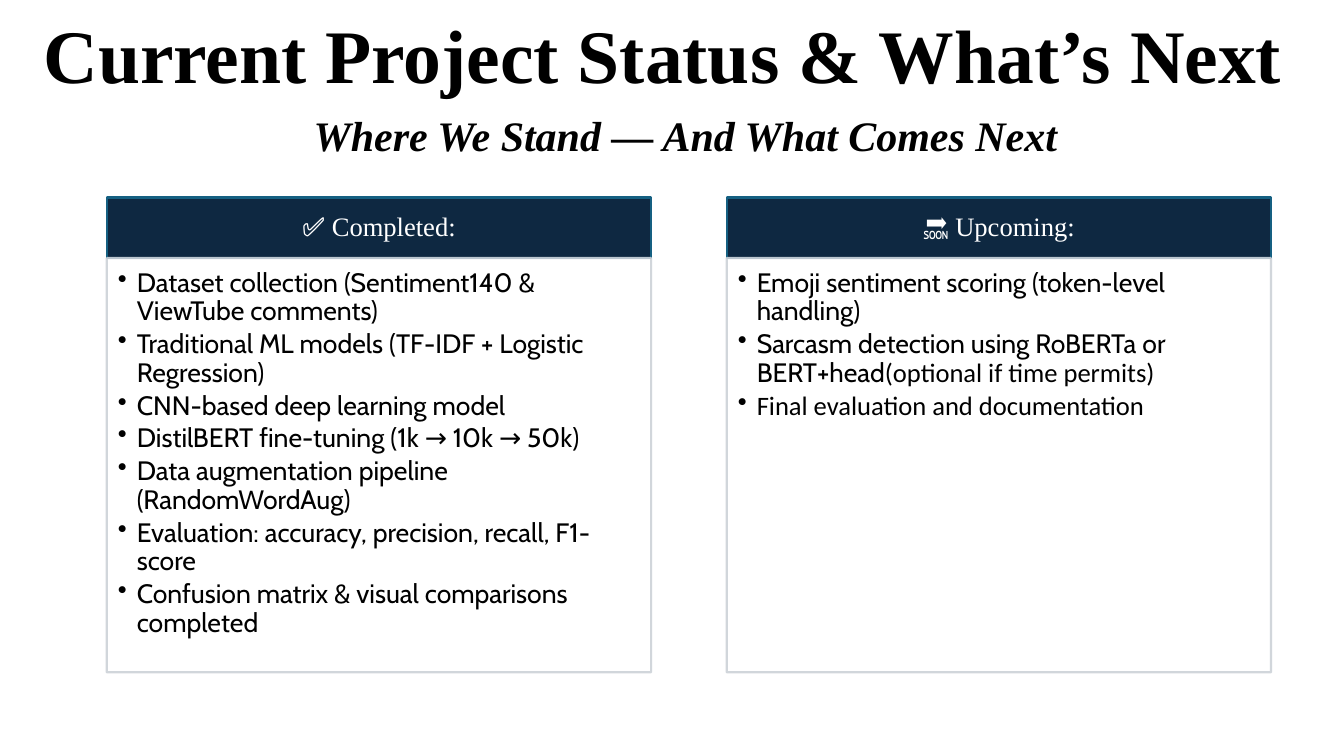
from lxml.etree import SubElement
from pptx import Presentation
from pptx.dml.color import RGBColor
from pptx.enum.shapes import MSO_SHAPE
from pptx.enum.text import MSO_ANCHOR, PP_ALIGN
from pptx.oxml.ns import qn
from pptx.util import Pt

SERIF = "Times New Roman"
BODY = "Cabin"
BLACK = "000000"
HEADER_HEIGHT = 43.2
CARD_WIDTH = 388.8

COMPLETED = [
    [("Dataset collection (Sentiment140 & ViewTube comments)", BODY)],
    [("Traditional ML models (TF-IDF + Logistic Regression)", BODY)],
    [("CNN-based deep learning model", BODY)],
    [("DistilBERT fine-tuning (1k → 10k → 50k)", BODY)],
    [("Data augmentation pipeline (RandomWordAug)", BODY)],
    [("Evaluation: accuracy, precision, recall, F1-score", BODY)],
    [("Confusion matrix & visual comparisons completed", BODY)],
]
UPCOMING = [
    [("Emoji sentiment scoring (token-level handling)", BODY)],
    [("Sarcasm detection using RoBERTa or BERT+head", BODY),
     ("(optional if time permits)", "Calibri")],
    [("Final evaluation and documentation", "Calibri")],
]


def color(hex_value):
    return RGBColor.from_string(hex_value)


def format_run(run, font_name, size, hex_value, bold=False, italic=False):
    font = run.font
    font.name, font.size = font_name, Pt(size)
    font.bold, font.italic = bold, italic
    font.color.rgb = color(hex_value)


def set_insets(text_frame, left, top, right, bottom):
    text_frame.margin_left, text_frame.margin_top = Pt(left), Pt(top)
    text_frame.margin_right, text_frame.margin_bottom = Pt(right), Pt(bottom)


def add_heading(slide, box, text, size, anchor, alignment, wrap, italic=False):
    shape = slide.shapes.add_textbox(*map(Pt, box))
    text_frame = shape.text_frame
    text_frame.text = text
    text_frame.word_wrap = wrap
    text_frame.vertical_anchor = anchor
    paragraph = text_frame.paragraphs[0]
    paragraph.alignment = alignment
    paragraph.line_spacing = 0.9 if wrap else 1.0
    format_run(paragraph.runs[0], SERIF, size, BLACK, bold=True, italic=italic)


def add_panel(slide, box, line_color, fill_color=None):
    shape = slide.shapes.add_shape(MSO_SHAPE.RECTANGLE, *map(Pt, box))
    shape.shadow.inherit = False
    if fill_color:
        shape.fill.solid()
        shape.fill.fore_color.rgb = color(fill_color)
    else:
        shape.fill.background()
    shape.line.color.rgb = color(line_color)
    shape.line.width = Pt(1.5)
    shape.text_frame.word_wrap = True
    return shape


def add_bullet(paragraph):
    properties = paragraph._p.get_or_add_pPr()
    properties.set("marL", str(Pt(13.5)))
    properties.set("indent", str(-Pt(13.5)))
    SubElement(properties, qn("a:buChar")).set("char", "•")


def add_card(slide, left, top, width, height, title, items):
    # Header band
    header = add_panel(slide, (left, top, width, HEADER_HEIGHT), "156082", "0E2841")
    text_frame = header.text_frame
    text_frame.text = title
    text_frame.vertical_anchor = MSO_ANCHOR.MIDDLE
    set_insets(text_frame, 10.8, 5.8, 10.8, 5.8)
    paragraph = text_frame.paragraphs[0]
    paragraph.alignment = PP_ALIGN.CENTER
    paragraph.line_spacing = 0.9
    format_run(paragraph.runs[0], SERIF, 19, "FFFFFF")

    # Body with bulleted list
    body = add_panel(slide, (left, top + HEADER_HEIGHT, width, height - HEADER_HEIGHT), "CCD2D8")
    line_color = body.line._ln.find(".//" + qn("a:srgbClr"))
    SubElement(line_color, qn("a:alpha")).set("val", "90000")
    text_frame = body.text_frame
    text_frame.vertical_anchor = MSO_ANCHOR.TOP
    set_insets(text_frame, 8, 8, 10.8, 12)
    for index, item in enumerate(items):
        paragraph = text_frame.add_paragraph() if index else text_frame.paragraphs[0]
        paragraph.alignment = PP_ALIGN.LEFT
        paragraph.line_spacing = 0.9
        paragraph.space_after = Pt(2.85)
        add_bullet(paragraph)
        for text, font_name in item:
            run = paragraph.add_run()
            run.text = text
            format_run(run, font_name, 19, BLACK)


def main():
    presentation = Presentation()
    presentation.slide_width, presentation.slide_height = Pt(960), Pt(540)
    slide = presentation.slides.add_slide(presentation.slide_layouts[6])

    # Title and subtitle
    add_heading(slide, (0, 0, 960, 74.9), "Current Project Status & What’s Next ", 54,
                MSO_ANCHOR.BOTTOM, PP_ALIGN.CENTER, wrap=True)
    add_heading(slide, (216.9, 74.9, 596, 43.9), "Where We Stand — And What Comes Next", 30,
                MSO_ANCHOR.TOP, PP_ALIGN.LEFT, wrap=False, italic=True)

    # Status cards
    cards = [("✅ Completed:", COMPLETED), ("🔜 Upcoming:", UPCOMING)]
    for index, (title, items) in enumerate(cards):
        add_card(slide, 76.3 + index * (CARD_WIDTH + 54), 141.1, CARD_WIDTH, 339.1, title, items)

    presentation.save("out.pptx")


if __name__ == "__main__":
    main()
